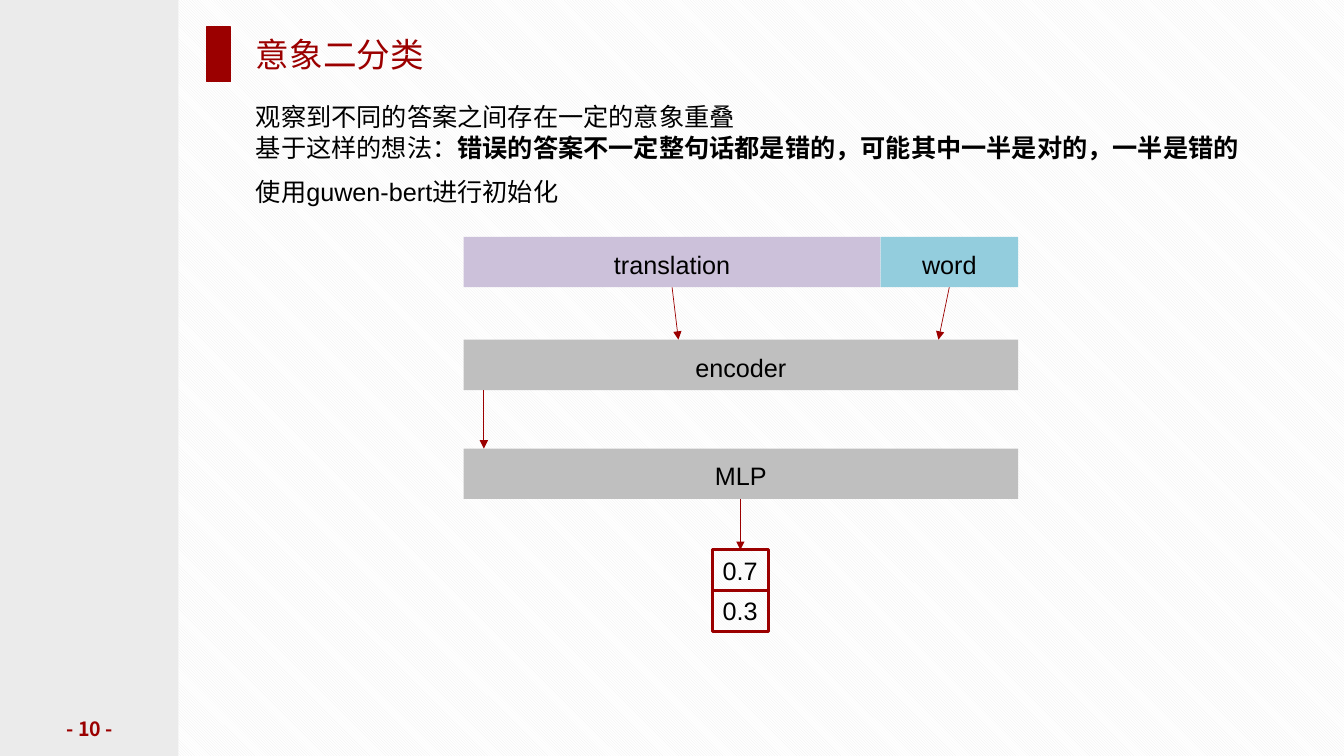
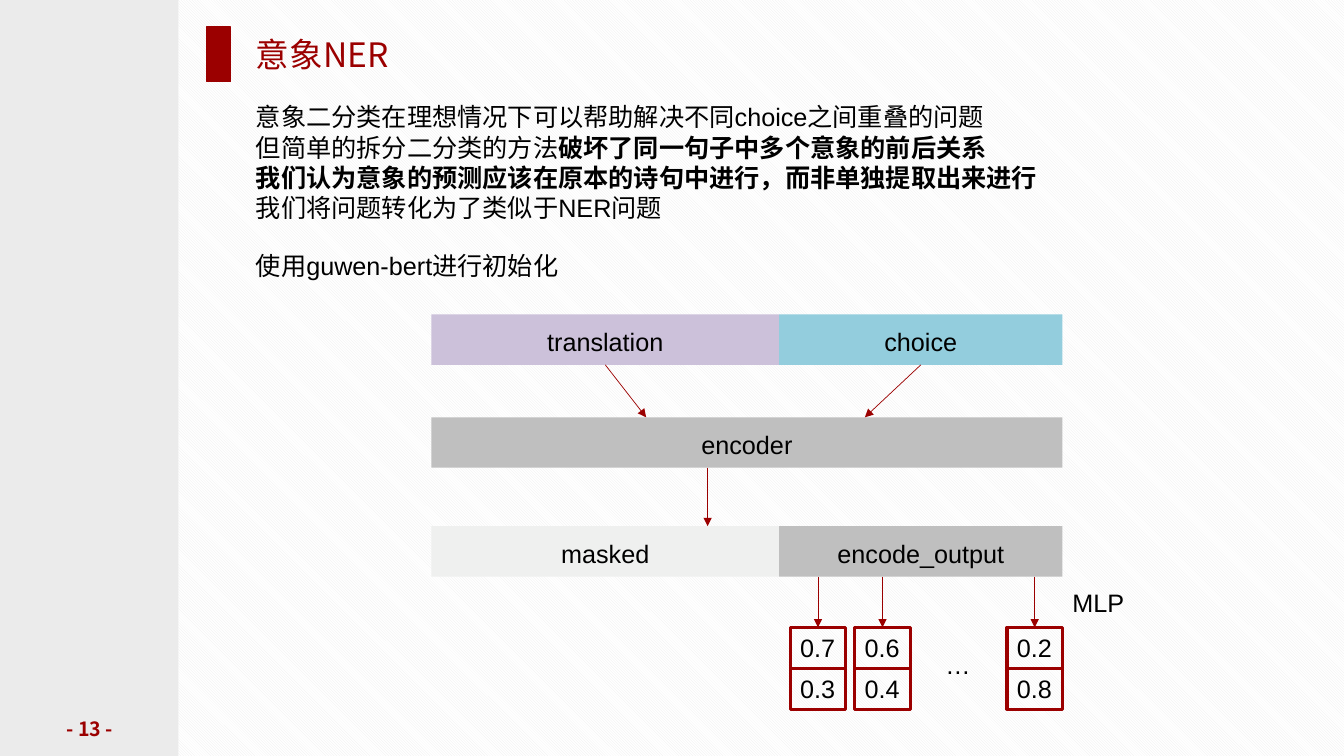
from dataclasses import dataclass

from lxml import etree
from pptx import Presentation, util as u
from pptx.dml.color import RGBColor
from pptx.enum import dml, shapes, text
from pptx.oxml import ns

CELL = 0.1
COLS, ROWS = 133.33, 75
COLORS = {
    "red": "9B0000", "side": "EBEBEB", "paper": "FFFFFF", "ink": "000000",
    "violet": "CCC1DA", "cyan": "93CDDD", "grey": "BFBFBF", "pale": "EFF0EF",
}
LATIN, CJK = "Arial", "Noto Sans CJK SC"
MARGIN = 24.4
BAR_H, CELL_W, CELL_H = 5, 5.5, 4.05
ENCODER_ROW, OUTPUT_ROW, SCORE_ROW = 10.2, 21, 31.05
INIT_TEXT = "使用guwen-bert进行初始化"


@dataclass(frozen=True)
class Run:
    text: str
    bold: bool = False


@dataclass(frozen=True)
class Style:
    size: int = 18
    color: str = "ink"
    latin: str = LATIN
    bold: bool = False
    center: bool = False
    middle: bool = False
    wrap: bool = True
    margins: tuple[float, float, float, float] = (1, 0.5, 1, 0.5)
    spacing: float | None = None


@dataclass(frozen=True)
class Segment:
    label: str
    width: float
    color: str


@dataclass(frozen=True)
class Score:
    left: float
    values: tuple[str, str]


@dataclass(frozen=True)
class Diagram:
    left: float
    top: float
    inputs: tuple[Segment, ...]
    input_targets: tuple[float, ...]
    encoder_exit: float
    outputs: tuple[Segment, ...]
    scores: tuple[Score, ...]


@dataclass(frozen=True)
class Label:
    text: str
    left: float
    top: float
    width: float


@dataclass(frozen=True)
class Page:
    number: int
    title: str
    lines: tuple[tuple[Run, ...], ...]
    init_top: float
    diagram: Diagram
    labels: tuple[Label, ...] = ()


BODY = Style()
NARROW = Style(wrap=False)
BAR = Style(center=True, margins=(1.2, 0.8, 1.2, 0.8), spacing=1.14)
TITLE = Style(24, "red", CJK, middle=True, margins=(1, 0, 0, 0))
NUMBER = Style(14, "red", CJK, bold=True, center=True, middle=True)

PAGES = (
    Page(
        10, "意象二分类",
        (
            (Run("观察到不同的答案之间存在一定的意象重叠"),),
            (Run("基于这样的想法："),
             Run("错误的答案不一定整句话都是错的，可能其中一半是对的，一半是错的", True)),
        ),
        17,
        Diagram(
            46, 23.5,
            (Segment("translation", 41.35, "violet"), Segment("word", 13.65, "cyan")),
            (67.3, 93.1), 48,
            (Segment("MLP", 55, "grey"),),
            (Score(70.7, ("0.7", "0.3")),),
        ),
    ),
    Page(
        13, "意象NER",
        (
            (Run("意象二分类在理想情况下可以帮助解决不同choice之间重叠的问题"),),
            (Run("但简单的拆分二分类的方法"),
             Run("破坏了同一句子中多个意象的前后关系", True)),
            (Run("我们认为意象的预测应该在原本的诗句中进行，而非单独提取出来进行", True),),
            (Run("我们将问题转化为了类似于NER问题"),),
        ),
        24.3,
        Diagram(
            42.8, 31.2,
            (Segment("translation", 34.5, "violet"), Segment("choice", 28.1, "cyan")),
            (64.1, 85.8), 70.2,
            (Segment("masked", 34.5, "pale"), Segment("encode_output", 28.1, "grey")),
            (Score(78.4, ("0.7", "0.3")), Score(84.8, ("0.6", "0.4")),
             Score(99.9, ("0.2", "0.8"))),
        ),
        (Label("…", 92.8, 63.9, 4.5), Label("MLP", 105.4, 57.8, 7.2)),
    ),
)


def grid(n: float) -> int:
    """Convert grid cells to a length."""
    return u.Inches(n * CELL)


def rgb(name: str) -> RGBColor:
    """Look up a palette colour."""
    return RGBColor.from_string(COLORS[name])


def write(sp, lines: tuple[tuple[Run, ...], ...], style: Style) -> None:
    """Fill a shape with styled paragraphs."""
    tf = sp.text_frame
    tf.word_wrap = style.wrap
    tf.vertical_anchor = text.MSO_ANCHOR.MIDDLE if style.middle else text.MSO_ANCHOR.TOP
    tf.margin_left, tf.margin_top, tf.margin_right, tf.margin_bottom = map(grid, style.margins)
    for i, runs in enumerate(lines):
        p = tf.add_paragraph() if i else tf.paragraphs[0]
        p.alignment = text.PP_ALIGN.CENTER if style.center else text.PP_ALIGN.LEFT
        if style.spacing:
            p.line_spacing = style.spacing
        for run in runs:
            r = p.add_run()
            r.text = run.text
            r.font.size = u.Pt(style.size)
            r.font.bold = style.bold or run.bold
            r.font.name = style.latin
            r.font.color.rgb = rgb(style.color)
            ea = etree.SubElement(r.font._element, ns.qn("a:ea"))
            ea.set("typeface", CJK)


def add_text(s, content: str, x: float, y: float, w: float, h: float, style: Style) -> None:
    """Add a text box with one line."""
    sp = s.shapes.add_textbox(*map(grid, (x, y, w, h)))
    write(sp, ((Run(content),),), style)


def add_rect(s, x: float, y: float, w: float, h: float, fill: str | None = None,
             line: str | None = None, weight: float = 1):
    """Add a flat rectangle."""
    sp = s.shapes.add_shape(shapes.MSO_SHAPE.RECTANGLE, *map(grid, (x, y, w, h)))
    sp.shadow.inherit = False
    if fill:
        sp.fill.solid()
        sp.fill.fore_color.rgb = rgb(fill)
    else:
        sp.fill.background()
    if line:
        sp.line.color.rgb = rgb(line)
        sp.line.width = u.Pt(weight)
    else:
        sp.line.fill.background()
    return sp


def add_arrow(s, x1: float, y1: float, x2: float, y2: float) -> None:
    """Add a thin red arrow."""
    c = s.shapes.add_connector(shapes.MSO_CONNECTOR.STRAIGHT, *map(grid, (x1, y1, x2, y2)))
    c.line.color.rgb = rgb("red")
    c.line.width = u.Pt(0.5)
    tail = etree.SubElement(c.line._get_or_add_ln(), ns.qn("a:tailEnd"))
    tail.set("type", "triangle")
    etree.SubElement(c._element.spPr, ns.qn("a:effectLst"))


def add_bars(s, left: float, top: float, segments: tuple[Segment, ...]) -> list[float]:
    """Draw adjoining bars and return their centres."""
    centers = []
    for seg in segments:
        sp = add_rect(s, left, top, seg.width, BAR_H, seg.color)
        write(sp, ((Run(seg.label),),), BAR)
        centers.append(left + seg.width / 2)
        left += seg.width
    return centers


def add_diagram(s, d: Diagram) -> None:
    """Draw the inputs, encoder, outputs and scores."""
    encoder, output, score_top = (d.top + n for n in (ENCODER_ROW, OUTPUT_ROW, SCORE_ROW))
    centers = add_bars(s, d.left, d.top, d.inputs)
    width = sum(seg.width for seg in d.inputs)
    add_bars(s, d.left, encoder, (Segment("encoder", width, "grey"),))
    add_bars(s, d.left, output, d.outputs)
    for center, target in zip(centers, d.input_targets):
        add_arrow(s, center, d.top + BAR_H, target, encoder)
    add_arrow(s, d.encoder_exit, encoder + BAR_H, d.encoder_exit, output)
    for score in d.scores:
        center = score.left + CELL_W / 2
        add_arrow(s, center, output + BAR_H, center, score_top)
        for i, value in enumerate(score.values):
            sp = add_rect(s, score.left, score_top + i * CELL_H, CELL_W, CELL_H,
                          line="red", weight=2.25)
            write(sp, ((Run(value),),), NARROW)


def add_frame(s, page: Page) -> None:
    """Draw the shared background, side band, title and number."""
    fill = s.background.fill
    fill.patterned()
    fill.pattern = dml.MSO_PATTERN.DARK_DOWNWARD_DIAGONAL
    fill.fore_color.rgb = rgb("side")
    fill.back_color.rgb = rgb("paper")
    add_rect(s, 0, 0, 17.7, ROWS, "side")
    add_rect(s, 20.5, 2.7, 2.4, 5.4, "red", "red")
    add_text(s, page.title, MARGIN, 2.7, 105.4, 5.4, TITLE)
    add_text(s, f"- {page.number} -", 3.2, 71, 11.4, 2.5, NUMBER)


def add_page(prs, page: Page) -> None:
    """Build one slide."""
    s = prs.slides.add_slide(prs.slide_layouts[6])
    add_frame(s, page)
    sp = s.shapes.add_textbox(*map(grid, (MARGIN, 9.6, 101.5, 1 + 3 * len(page.lines))))
    write(sp, page.lines, BODY)
    add_text(s, INIT_TEXT, MARGIN, page.init_top, 33.4, 4, BODY)
    add_diagram(s, page.diagram)
    for label in page.labels:
        add_text(s, label.text, label.left, label.top, label.width, 4, NARROW)


def main() -> None:
    """Build and save the presentation."""
    prs = Presentation()
    prs.slide_width, prs.slide_height = grid(COLS), grid(ROWS)
    for page in PAGES:
        add_page(prs, page)
    prs.save("out.pptx")


if __name__ == "__main__":
    main()
